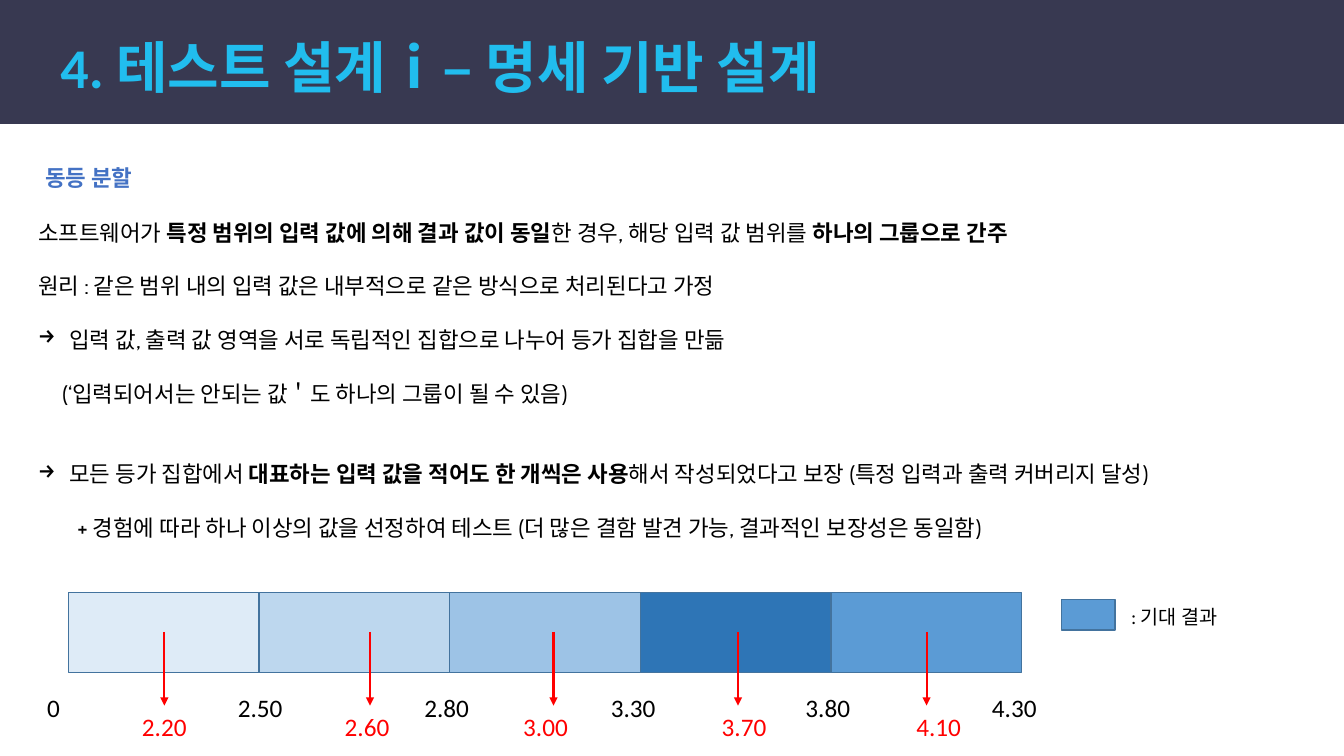
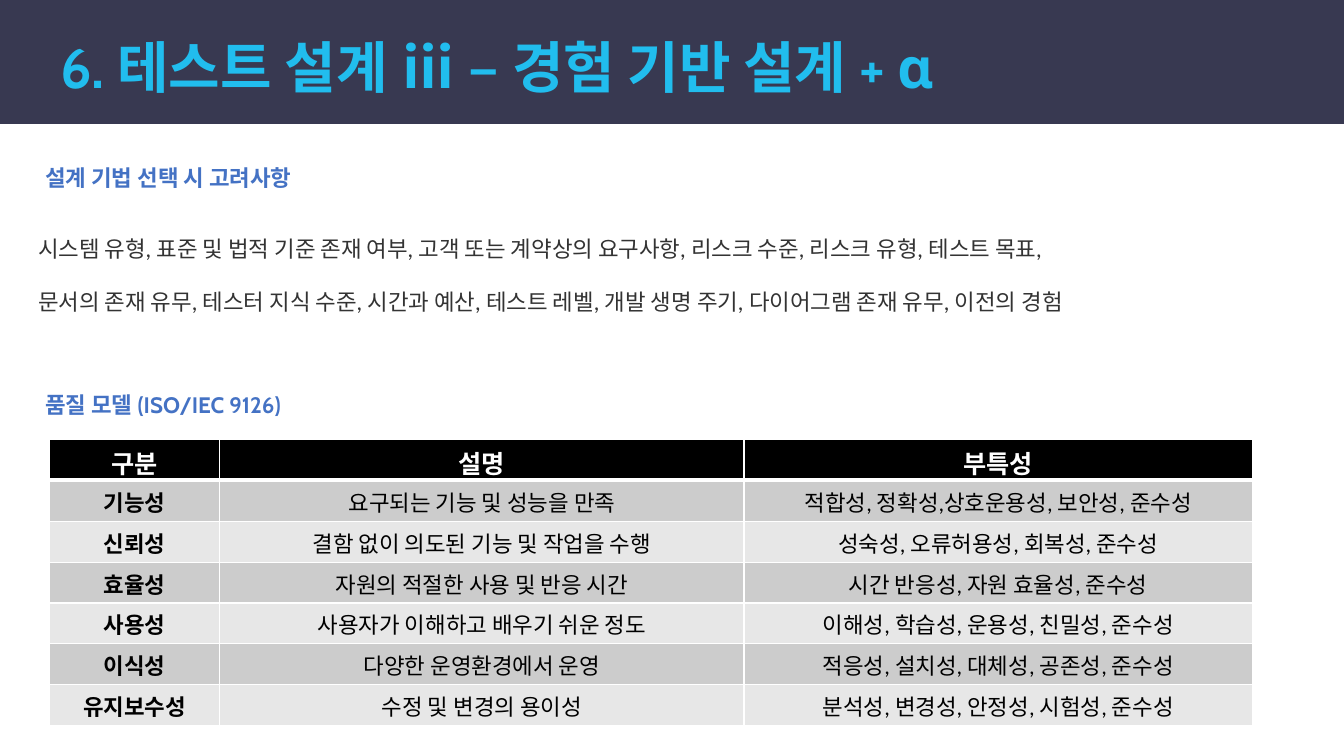
from lxml import etree
from pptx import Presentation
from pptx.dml.color import RGBColor
from pptx.enum.shapes import MSO_CONNECTOR, MSO_SHAPE
from pptx.enum.text import MSO_ANCHOR, PP_ALIGN
from pptx.oxml.ns import qn
from pptx.util import Emu, Pt

RECT = MSO_SHAPE.RECTANGLE
STRAIGHT = MSO_CONNECTOR.STRAIGHT
TOP, MIDDLE = MSO_ANCHOR.TOP, MSO_ANCHOR.MIDDLE
LEFT, CENTER = PP_ALIGN.LEFT, PP_ALIGN.CENTER
EMU_PER_PX = 9144  # 100 px to the inch


class Theme:
    band, title, heading = "383951", "21BDEE", "4472C4"
    ink, soft_ink, white, pick = "000000", "333333", "FFFFFF", "FF0000"
    outline, expected = "43739E", "5B9BD5"
    partitions = ["DEEBF7", "BDD7EE", "9DC3E6", "2E75B6", expected]
    header_fill, row_fills = "000000", ["CCCCCC", "E7E7E7"]
    title_size, value_size, body_size, legend_size = 40, 18, 16, 14
    line_gap, group_gap = 19.2, 38.4
    head_font, plain_font, list_font = "Cabin", "Calibri", "Lato"


# Asterisks enclose bold words.
PARTITION_TITLE = "4. 테스트 설계ⅰ– 명세 기반 설계"
PARTITION_HEADING = "동등 분할"
PARTITION_BODY = [
    ("소프트웨어가 *특정 범위의 입력 값에 의해 결과 값이 동일*한 경우, 해당 입력 값 범위를 "
     "*하나의 그룹으로 간주*", {}),
    ("원리 : 같은 범위 내의 입력 값은 내부적으로 같은 방식으로 처리된다고 가정", {}),
    ("입력 값, 출력 값 영역을 서로 독립적인 집합으로 나누어 등가 집합을 만듦", {"bullet": "→"}),
    ("(‘입력되어서는 안되는 값＇도 하나의 그룹이 될 수 있음)", {"indent": 24}),
    ("모든 등가 집합에서 *대표하는 입력 값을 적어도 한 개씩은 사용*해서 작성되었다고 보장 "
     "(특정 입력과 출력 커버리지 달성)", {"bullet": "→", "gap": Theme.group_gap}),
    ("+ 경험에 따라 하나 이상의 값을 선정하여 테스트 "
     "(더 많은 결함 발견 가능, 결과적인 보장성은 동일함)", {"indent": 39}),
]
BOUNDS = [("0", 37), ("2.50", 226), ("2.80", 411), ("3.30", 596), ("3.80", 789), ("4.30", 974)]
# value, label left, arrow x
PICKS = [("2.20", 131, 163), ("2.60", 332, 367), ("3.00", 509, 549),
         ("3.70", 706, 732), ("4.10", 899, 919)]
LEGEND = ": 기대 결과"

QUALITY_TITLE = "6. 테스트 설계 ⅲ – 경험 기반 설계 + ɑ"
CHOICE_HEADING = "설계 기법 선택 시 고려사항"
CHOICE_BODY = [
    ("시스템 유형, 표준 및 법적 기준 존재 여부, 고객 또는 계약상의 요구사항, 리스크 수준, "
     "리스크 유형, 테스트 목표,", {}),
    ("문서의 존재 유무, 테스터 지식 수준, 시간과 예산, 테스트 레벨, 개발 생명 주기, "
     "다이어그램 존재 유무, 이전의 경험", {}),
]
MODEL_HEADING = "품질 모델 (ISO/IEC 9126)"
MODEL_COLUMNS = [169, 520, 504]
MODEL_ROWS = [
    ("구분", "설명", "부특성"),
    ("기능성", "요구되는 기능 및 성능을 만족", "적합성, 정확성,상호운용성, 보안성, 준수성"),
    ("신뢰성", "결함 없이 의도된 기능 및 작업을 수행", "성숙성, 오류허용성, 회복성, 준수성"),
    ("효율성", "자원의 적절한 사용 및 반응 시간", "시간 반응성, 자원 효율성, 준수성"),
    ("사용성", "사용자가 이해하고 배우기 쉬운 정도", "이해성, 학습성, 운용성, 친밀성, 준수성"),
    ("이식성", "다양한 운영환경에서 운영", "적응성, 설치성, 대체성, 공존성, 준수성"),
    ("유지보수성", "수정 및 변경의 용이성", "분석성, 변경성, 안정성, 시험성, 준수성"),
]


def px(length):
    return Emu(length * EMU_PER_PX)


def rgb(color):
    return RGBColor.from_string(color)


def fill_paragraph(paragraph, text, *, size=Theme.body_size, font=Theme.head_font,
                   color=Theme.ink, bold=False, align=LEFT, spacing=None,
                   gap=0, indent=0, bullet=None):
    """Write text into a paragraph; parts between asterisks become bold."""
    paragraph.alignment = align
    paragraph.space_before = Pt(gap)
    if spacing:
        paragraph.line_spacing = spacing
    properties = paragraph._p.get_or_add_pPr()
    if bullet:
        properties.set("marL", str(px(31)))
        properties.set("indent", str(-px(31)))
        etree.SubElement(properties, qn("a:buChar"), char=bullet)
    elif indent:
        properties.set("marL", str(px(indent)))
    for position, part in enumerate(text.split("*")):
        if part:
            run = paragraph.add_run()
            run.text = part
            run.font.size, run.font.name = Pt(size), font
            run.font.bold = bold or position % 2 == 1
            run.font.color.rgb = rgb(color)


def add_text(slide, box, content, *, anchor=TOP, inset=True, **text_format):
    """Add a text box holding one string or a list of (text, format) paragraphs."""
    frame = slide.shapes.add_textbox(*map(px, box)).text_frame
    frame.word_wrap = True
    frame.vertical_anchor = anchor
    if not inset:
        frame.margin_left = frame.margin_right = frame.margin_top = frame.margin_bottom = 0
    paragraphs = [(content, {})] if isinstance(content, str) else content
    for position, (text, own_format) in enumerate(paragraphs):
        paragraph = frame.add_paragraph() if position else frame.paragraphs[0]
        gap = Theme.line_gap if position else 0
        fill_paragraph(paragraph, text, **{"gap": gap, **text_format, **own_format})


def add_box(slide, box, fill, outline=None):
    shape = slide.shapes.add_shape(RECT, *map(px, box))
    shape.shadow.inherit = False
    shape.fill.solid()
    shape.fill.fore_color.rgb = rgb(fill)
    if outline:
        shape.line.color.rgb = rgb(outline)
        shape.line.width = Pt(1)
    else:
        shape.line.fill.background()


def add_down_arrow(slide, x, top, bottom):
    arrow = slide.shapes.add_connector(STRAIGHT, px(x), px(top), px(x), px(bottom))
    arrow.line.color.rgb = rgb(Theme.pick)
    arrow.line.width = Pt(1.5)
    etree.SubElement(arrow.line._get_or_add_ln(), qn("a:tailEnd"), type="triangle")
    etree.SubElement(arrow._element.spPr, qn("a:effectLst"))


def add_heading(slide, top, text):
    add_text(slide, (35, top, 1000, 37), text, color=Theme.heading, bold=True)


def add_titled_slide(deck, title, font):
    slide = deck.slides.add_slide(deck.slide_layouts[6])
    add_box(slide, (0, 0, 1333, 123), Theme.band)
    add_text(slide, (60, 39, 1200, 61), title, anchor=MIDDLE, inset=False, font=font,
             size=Theme.title_size, color=Theme.title, bold=True, spacing=0.9)
    return slide


def set_borders(cell, bottom):
    """Draw white borders, with the given bottom width in points."""
    properties = cell._tc.get_or_add_tcPr()
    widths = {"lnL": 1, "lnR": 1, "lnT": 1, "lnB": bottom}
    for position, (side, width) in enumerate(widths.items()):
        line = etree.Element(qn(f"a:{side}"), w=str(Pt(width)))
        solid = etree.SubElement(line, qn("a:solidFill"))
        etree.SubElement(solid, qn("a:srgbClr"), val=Theme.white)
        properties.insert(position, line)


def add_model_table(slide, left, top, height):
    table = slide.shapes.add_table(len(MODEL_ROWS), len(MODEL_COLUMNS), px(left), px(top),
                                   px(sum(MODEL_COLUMNS)), px(height)).table
    for column, width in zip(table.columns, MODEL_COLUMNS):
        column.width = px(width)
    for r, row in enumerate(MODEL_ROWS):
        table.rows[r].height = px(height) // len(MODEL_ROWS)
        header = r == 0
        for c, text in enumerate(row):
            cell = table.cell(r, c)
            cell.fill.solid()
            cell.fill.fore_color.rgb = rgb(
                Theme.header_fill if header else Theme.row_fills[(r - 1) % 2])
            set_borders(cell, bottom=3 if header else 1)
            fill_paragraph(cell.text_frame.paragraphs[0], text, font=Theme.plain_font,
                           size=Theme.value_size if header else Theme.body_size,
                           color=Theme.white if header else Theme.ink,
                           bold=header or c == 0, align=CENTER)


def build_partition_slide(deck):
    slide = add_titled_slide(deck, PARTITION_TITLE, Theme.plain_font)
    add_heading(slide, 158, PARTITION_HEADING)
    add_text(slide, (28, 212, 1241, 350), PARTITION_BODY)
    for position, fill in enumerate(Theme.partitions):
        add_box(slide, (68 + 189 * position, 588, 189, 79), fill, Theme.outline)
    value_format = {"font": Theme.plain_font, "size": Theme.value_size}
    for bound, left in BOUNDS:
        add_text(slide, (left, 682, 71, 40), bound, **value_format)
    for value, left, arrow_x in PICKS:
        add_down_arrow(slide, arrow_x, 627, 700)
        add_text(slide, (left, 701, 71, 40), value, color=Theme.pick, **value_format)
    add_box(slide, (1053, 595, 53, 30), Theme.expected, Theme.outline)
    add_text(slide, (1112, 595, 208, 34), LEGEND,
             font=Theme.plain_font, size=Theme.legend_size)


def build_quality_slide(deck):
    slide = add_titled_slide(deck, QUALITY_TITLE, Theme.head_font)
    add_heading(slide, 158, CHOICE_HEADING)
    add_text(slide, (28, 228, 1241, 91), CHOICE_BODY,
             font=Theme.list_font, color=Theme.soft_ink)
    add_heading(slide, 383, MODEL_HEADING)
    add_model_table(slide, 49, 436, 284)


def main():
    deck = Presentation()
    deck.slide_width, deck.slide_height = px(1333), px(750)
    build_partition_slide(deck)
    build_quality_slide(deck)
    deck.save("out.pptx")


if __name__ == "__main__":
    main()
